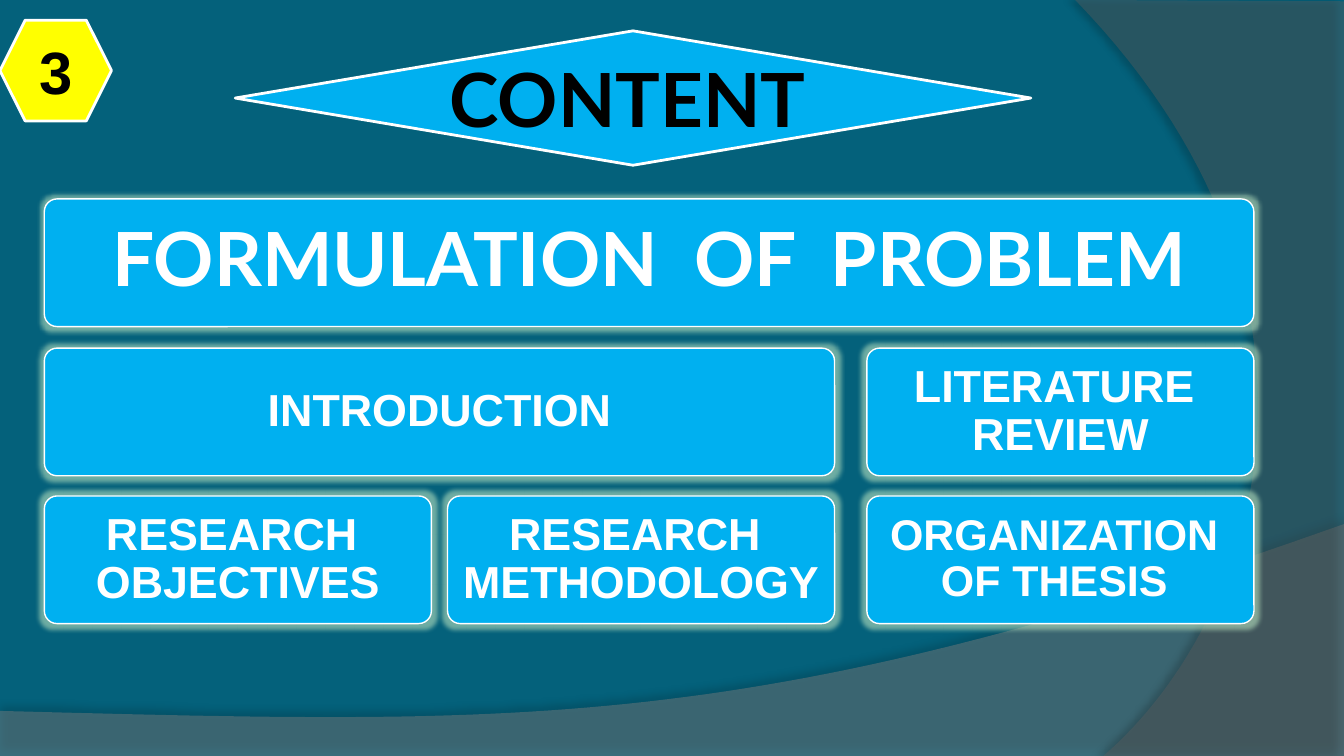
from lxml.etree import SubElement
from pptx import Presentation
from pptx.dml.color import RGBColor as RGB
from pptx.enum.shapes import MSO_SHAPE as SHAPE
from pptx.enum.text import MSO_ANCHOR as ANCHOR, PP_ALIGN as ALIGN
from pptx.oxml.ns import qn
from pptx.util import Inches, Pt

THEME = {
    "back": "04617B", "box": "00B0F0", "badge": "FFFF00", "light": "FFFFFF",
    "dark": "000000", "glow": "B5E0BE",
    "head": "Lato", "body": "Arial",
    "title": 40, "number": 32, "label": 24, "label_small": 23,
}

# Slide in 16:9
WIDTH = 10
HEIGHT = WIDTH * 9 / 16

# Text, row, first column, last column, font, size, inset
BOXES = [
    ("FORMULATION  OF  PROBLEM", 0, 0, 2, "head", "title", 0.14),
    ("INTRODUCTION", 1, 0, 1, "body", "label", 0.07),
    ("LITERATURE  REVIEW", 1, 2, 2, "body", "label", 0.07),
    ("RESEARCH  OBJECTIVES", 2, 0, 0, "body", "label", 0.07),
    ("RESEARCH  METHODOLOGY", 2, 1, 1, "body", "label", 0.07),
    ("ORGANIZATION  OF THESIS ", 2, 2, 2, "body", "label_small", 0.07),
]
COLUMNS = [0.33, 3.33, 6.45]
ROWS = [1.48, 2.59, 3.69]
BOX_W, BOX_H = 2.88, 0.95

# Straight corners, Bezier curve from the last corner, colour, opacity %,
# shadow opacity %, shadow distance in points, shadow direction in degrees
WAVES = [
    ([(0, 5.29), (0, HEIGHT), (10, HEIGHT), (10, 3.9)],
     [(5.59, 5.47), (3.91, 5.39), (0, 5.29)], "7F7F7F", 45, 35, 3.5, 270),
    ([(8, 0), (10, 0.01), (10, HEIGHT), (8.21, HEIGHT)],
     [(9.35, 4.64), (10.18, 2.25), (8, 0)], "5E5E5E", 40, 45, 4, 180),
]


def add_alpha(clr, opacity):
    SubElement(clr, qn("a:alpha"), val=str(opacity * 1000))


def add_effect(sp, tag, color, opacity, **attrs):
    effects = sp._element.spPr.find(qn("a:effectLst"))
    effect = SubElement(effects, qn(tag), {k: str(v) for k, v in attrs.items()})
    add_alpha(SubElement(effect, qn("a:srgbClr"), val=color), opacity)


def bezier(p0, p1, p2, p3, steps=60):
    for i in range(1, steps + 1):
        t = i / steps
        u = 1 - t
        yield tuple(u**3 * a + 3 * u * u * t * b + 3 * u * t * t * c + t**3 * d
                    for a, b, c, d in zip(p0, p1, p2, p3))


def add_wave(slide, corners, curve, color, opacity, shade, dist, angle):
    points = [(Inches(x), Inches(y))
              for x, y in corners + list(bezier(corners[-1], *curve))]
    fb = slide.shapes.build_freeform(*points[0])
    fb.add_line_segments(points[1:], close=True)
    sp = fb.convert_to_shape()
    sp.fill.solid()
    sp.fill.fore_color.rgb = RGB.from_string(color)
    add_alpha(sp._element.spPr.find(qn("a:solidFill"))[0], opacity)
    sp.line.fill.background()
    sp.shadow.inherit = False
    add_effect(sp, "a:outerShdw", THEME["dark"], shade, blurRad=Pt(4),
               dist=Pt(dist), dir=angle * 60000, algn="ctr", rotWithShape=0)


def add_label(slide, kind, box, text, fill, color, font, size, line=1.5, **frame):
    sp = slide.shapes.add_shape(kind, *map(Inches, box))
    sp.fill.solid()
    sp.fill.fore_color.rgb = RGB.from_string(THEME[fill])
    sp.line.color.rgb = RGB.from_string(THEME["light"])
    sp.line.width = Pt(line)
    sp.shadow.inherit = False
    tf = sp.text_frame
    for name, value in {"word_wrap": True, "vertical_anchor": ANCHOR.MIDDLE, **frame}.items():
        setattr(tf, name, value)
    p = tf.paragraphs[0]
    p.alignment = ALIGN.CENTER
    r = p.add_run()
    r.text = text
    for name, value in {"name": THEME[font], "size": Pt(THEME[size]), "bold": True}.items():
        setattr(r.font, name, value)
    r.font.color.rgb = RGB.from_string(THEME[color])
    return sp


def main():
    prs = Presentation()
    prs.slide_width, prs.slide_height = Inches(WIDTH), Inches(HEIGHT)
    slide = prs.slides.add_slide(prs.slide_layouts[6])

    # Background and waves
    slide.background.fill.solid()
    slide.background.fill.fore_color.rgb = RGB.from_string(THEME["back"])
    for wave in WAVES:
        add_wave(slide, *wave)

    # Topic boxes
    for text, row, first, last, font, size, inset in BOXES:
        left = COLUMNS[first]
        box = (left, ROWS[row], COLUMNS[last] + BOX_W - left, BOX_H)
        margins = {f"margin_{side}": Inches(inset)
                   for side in ("left", "right", "top", "bottom")}
        sp = add_label(slide, SHAPE.ROUNDED_RECTANGLE, box, text, "box", "light",
                       font, size, line=0.75, **margins)
        sp.adjustments[0] = 0.1
        sp.text_frame.paragraphs[0].line_spacing = 0.9
        add_effect(sp, "a:glow", THEME["glow"], 60, rad=Pt(5))

    # Title and slide number
    add_label(slide, SHAPE.FLOWCHART_DECISION, (1.75, 0.23, 5.92, 1), "CONTENT",
              "box", "dark", "head", "title", margin_right=Inches(0.18))
    add_label(slide, SHAPE.HEXAGON, (0, 0.15, 0.83, 0.75), "3",
              "badge", "dark", "body", "number")

    prs.save("out.pptx")


if __name__ == "__main__":
    main()
